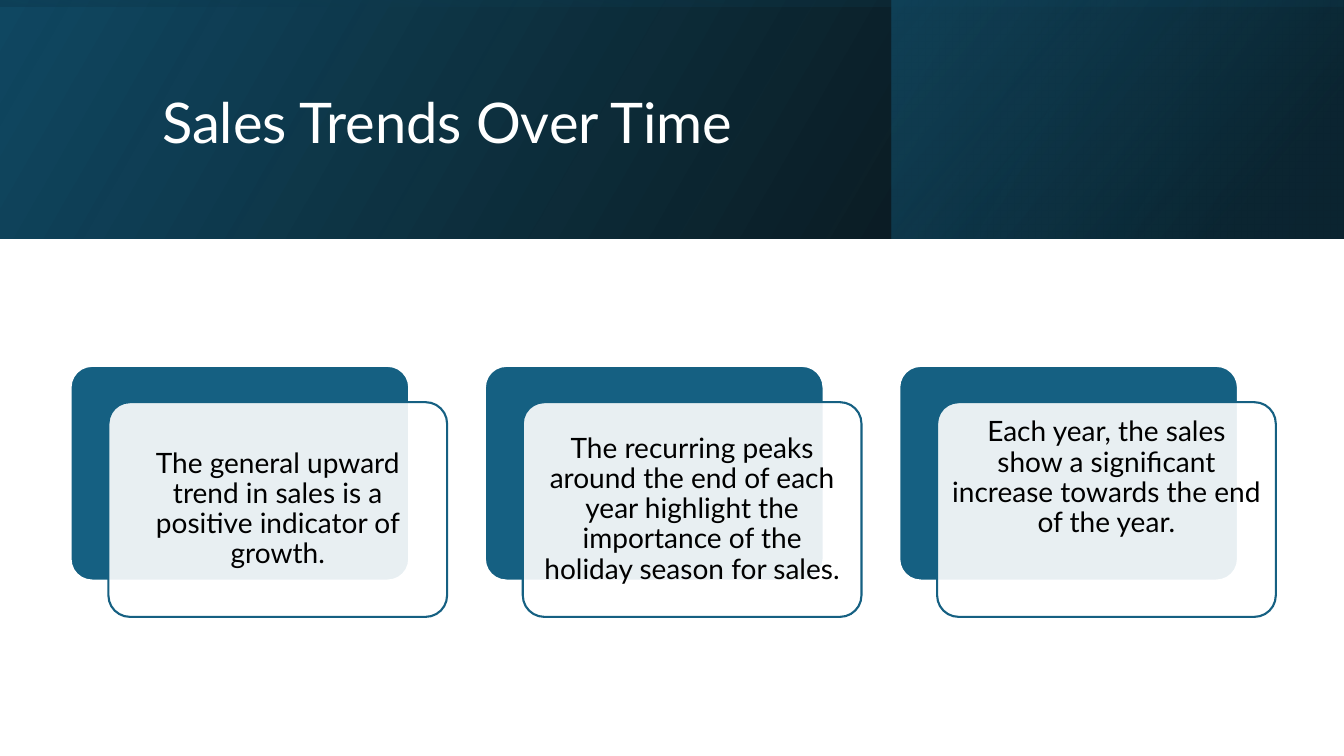
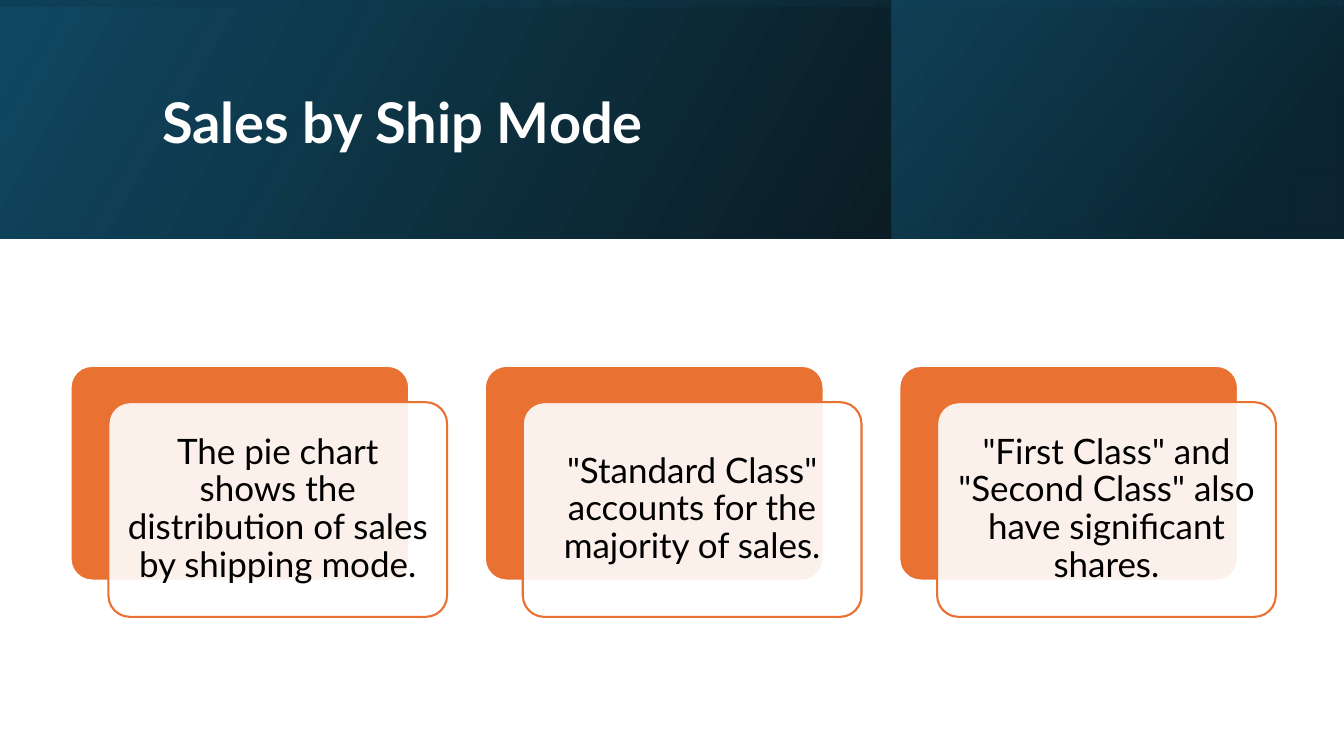
from pptx import Presentation
from pptx.dml.color import RGBColor
from pptx.enum.shapes import MSO_SHAPE
from pptx.enum.text import MSO_ANCHOR, PP_ALIGN
from pptx.oxml import parse_xml
from pptx.oxml.ns import nsdecls, qn
from pptx.util import Inches, Pt

COLORS = {
    "white": "FFFFFF",
    "black": "000000",
    "blue": "156082",
    "deep_blue": "104862",
    "navy": "0B3041",
    "orange": "E97132",
}
FONT = "Lato"
BAND_HEIGHT = 31.6
CARD_LEFT, CARD_TOP, CARD_STEP = 5.25, 48.4, 30.83
CARD_WIDTH, CARD_HEIGHT = 25.2, 28.4
CARD_SHIFT_X, CARD_SHIFT_Y = 2.82, 4.8


class SlideBuilder:
    """Places elements on a grid of 100 columns by 100 rows."""

    def __init__(self):
        self.deck = Presentation()
        self.deck.slide_width = Inches(13.33)
        self.deck.slide_height = Inches(7.5)
        self.page = None

    def new_page(self, title, bold=False):
        self.page = self.deck.slides.add_slide(self.deck.slide_layouts[6])
        self.header()
        self.title(title, bold)

    def grid(self, left, top, width, height):
        column = self.deck.slide_width / 100
        row = self.deck.slide_height / 100
        return [round(value) for value in (left * column, top * row, width * column, height * row)]

    def color(self, name):
        return RGBColor.from_string(COLORS[name])

    def shape(self, kind, frame):
        shape = self.page.shapes.add_shape(kind, *frame)
        shape.shadow.inherit = False
        return shape

    def band(self, left, width, stops, angle, turned=False):
        x, y, across, down = self.grid(left, 0, width, BAND_HEIGHT)
        if turned:
            shift = (across - down) // 2
            x, y, across, down = x + shift, y - shift, down, across
        shape = self.shape(MSO_SHAPE.RECTANGLE, (x, y, across, down))
        shape.rotation = 270 if turned else 0
        shape.line.fill.background()
        shape.fill.background()
        stop_xml = "".join(
            f'<a:gs pos="{position * 1000}"><a:srgbClr val="{COLORS[name]}">'
            f'<a:alpha val="{alpha * 1000}"/></a:srgbClr></a:gs>'
            for position, name, alpha in stops
        )
        gradient = parse_xml(
            f'<a:gradFill {nsdecls("a")} rotWithShape="1"><a:gsLst>{stop_xml}</a:gsLst>'
            f'<a:lin ang="{angle * 60000}" scaled="0"/></a:gradFill>'
        )
        properties = shape.element.spPr
        properties.replace(properties.find(qn("a:noFill")), gradient)
        properties.find(qn("a:xfrm")).set("flipH", "1")

    def header(self):
        self.band(0, 100, [(0, "black", 96), (100, "deep_blue", 100)], 330)
        self.band(66.32, 33.61, [(19, "navy", 68), (100, "blue", 48)], 320)
        self.band(0, 100, [(23, "deep_blue", 16), (99, "black", 45)], 350, turned=True)

    def set_text(self, box, text, size, color, align, bold=False):
        frame = box.text_frame
        frame.text = text
        frame.word_wrap = True
        frame.vertical_anchor = MSO_ANCHOR.MIDDLE
        for para in frame.paragraphs:
            para.alignment = align
            para.line_spacing = 0.9
            for span in para.runs:
                span.font.name = FONT
                span.font.size = Pt(size)
                span.font.bold = bold
                span.font.color.rgb = self.color(color)

    def title(self, text, bold):
        box = self.page.shapes.add_textbox(*self.grid(11.33, 5.07, 79.74, 22.93))
        self.set_text(box, text, 40, "white", PP_ALIGN.LEFT, bold)

    def panel(self, left, top, fill, line):
        frame = self.grid(left, top, CARD_WIDTH, CARD_HEIGHT)
        panel = self.shape(MSO_SHAPE.ROUNDED_RECTANGLE, frame)
        panel.adjustments[0] = 0.1
        panel.fill.solid()
        panel.fill.fore_color.rgb = self.color(fill)
        panel.line.color.rgb = self.color(line)
        panel.line.width = Pt(1.5)
        return panel

    def card(self, index, text, accent, size, inset, lift):
        left = CARD_LEFT + index * CARD_STEP
        self.panel(left, CARD_TOP, accent, "white")
        front = self.panel(left + CARD_SHIFT_X, CARD_TOP + CARD_SHIFT_Y, "white", accent)
        tint = front.element.spPr.find(qn("a:solidFill"))[0]
        tint.append(parse_xml(f'<a:alpha {nsdecls("a")} val="90000"/>'))
        self.set_text(front, text, size, "black", PP_ALIGN.CENTER)
        frame = front.text_frame
        frame.margin_left = frame.margin_right = frame.margin_top = Inches(inset)
        frame.margin_bottom = Inches(inset + lift)

    def cards(self, texts, accent, size, inset, last_lift=0):
        for index, text in enumerate(texts):
            lift = last_lift if index == len(texts) - 1 else 0
            self.card(index, text, accent, size, inset, lift)


def main():
    builder = SlideBuilder()

    builder.new_page("Sales Trends Over Time")
    builder.cards(
        [
            "The general upward trend in sales is a positive indicator of growth.",
            "The recurring peaks around the end of each year highlight the "
            "importance of the holiday season for sales.",
            "Each year, the sales show a significant increase towards the end of the year.",
        ],
        accent="blue",
        size=20,
        inset=0.08,
        last_lift=0.62,
    )

    builder.new_page("Sales by Ship Mode", bold=True)
    builder.cards(
        [
            "The pie chart shows the distribution of sales by shipping mode.",
            '"Standard Class" accounts for the majority of sales.',
            '"First Class" and "Second Class" also have significant shares.',
        ],
        accent="orange",
        size=25,
        inset=0.1,
    )

    builder.deck.save("out.pptx")


if __name__ == "__main__":
    main()
